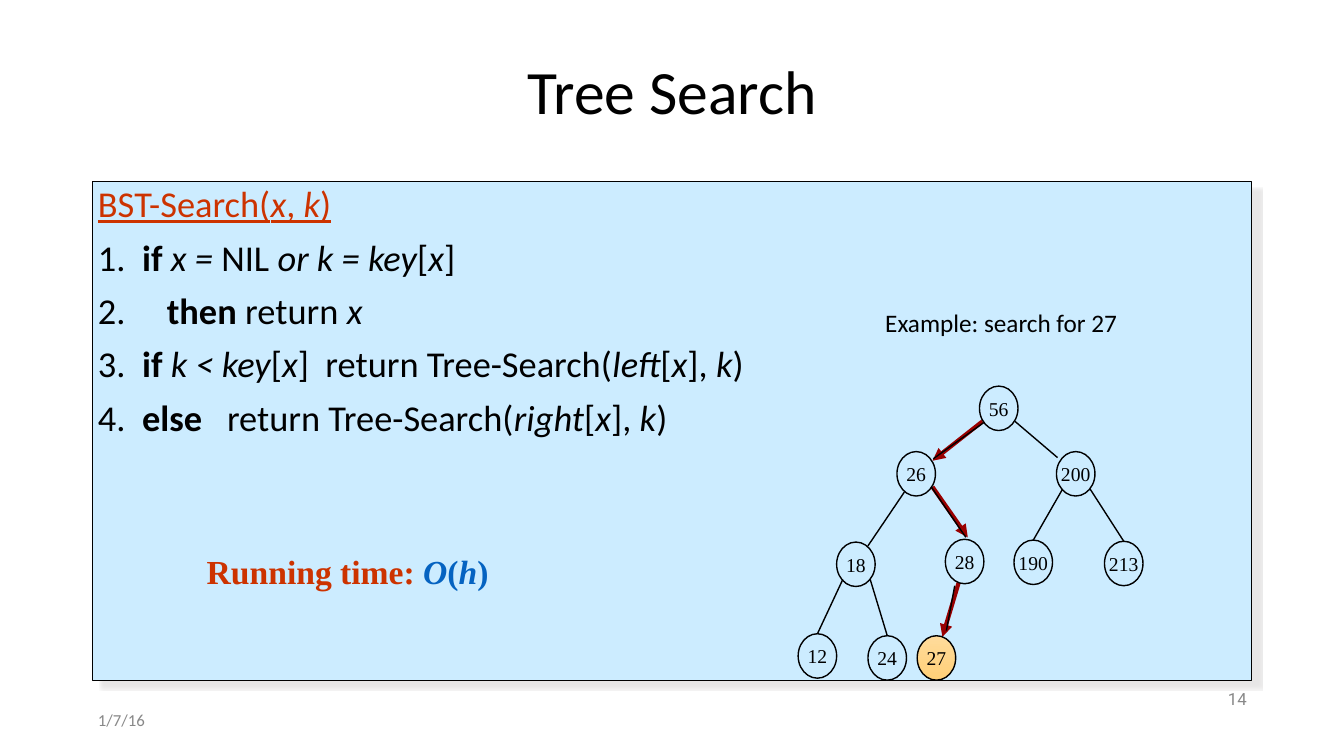
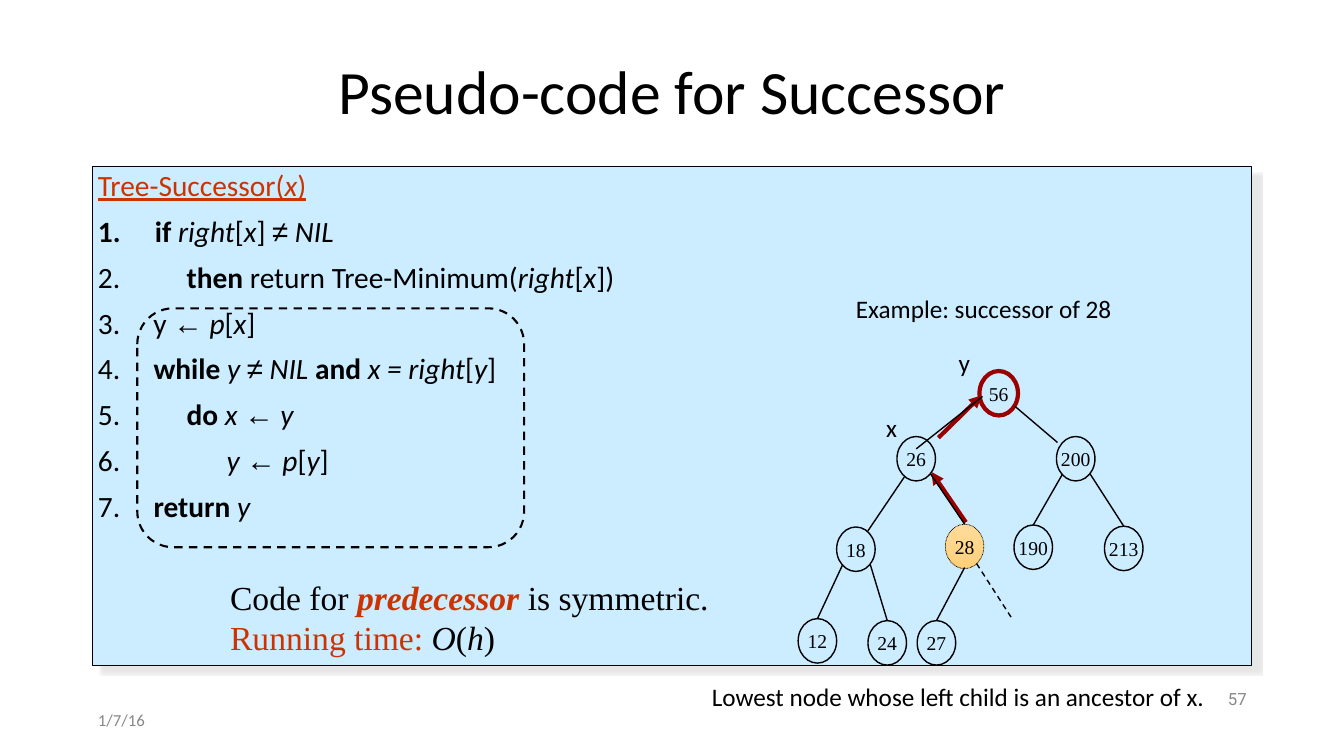
from itertools import groupby

from lxml import etree
from pptx import Presentation
from pptx.dml.color import RGBColor
from pptx.enum import dml, shapes, text
from pptx.oxml import ns
from pptx.util import Cm, Pt

BLACK = RGBColor(0x00, 0x00, 0x00)
GREY = RGBColor(0x88, 0x88, 0x88)
RUST = RGBColor(0xCC, 0x33, 0x00)
BLUE = RGBColor(0x05, 0x63, 0xC1)
PATH_RED = RGBColor(0x99, 0x00, 0x00)
PANEL_BLUE = RGBColor(0xCC, 0xEC, 0xFF)
GOLD_LIGHT = RGBColor(0xFF, 0xDB, 0x9B)
GOLD_DARK = RGBColor(0xFF, 0xD0, 0x78)
SHADOW = "E7E6E6"

SANS, SERIF = "Calibri", "Times New Roman"
SYMBOLS, SYMBOL_FONT = "≠←", "Arial"

LEFT, WIDTH = 2.34, 29.21
PANEL_HEIGHT = 12.57
NODE_WIDTH, NODE_HEIGHT = 0.97, 1.12

# Node centres in cm, measured from the top left corner of the panel
NODES = {
    "56": (22.83, 5.72),
    "26": (20.75, 7.37), "200": (24.77, 7.37),
    "18": (19.23, 9.65), "28": (21.97, 9.58),
    "190": (23.7, 9.6), "213": (25.98, 9.63),
    "12": (18.26, 11.96), "24": (20.02, 12.01), "27": (21.26, 12.01),
}
# Edges: two nodes, and the offset of each line end from its node centre
TOP = (0, -0.56)
COMMON_EDGES = [
    ("56", "200", (0.41, 0.33), (-0.46, -0.41)),
    ("26", "18", (-0.3, 0.46), (0.3, -0.46)),
    ("200", "190", (-0.33, 0.38), TOP),
    ("200", "213", (0.36, 0.38), TOP),
    ("18", "12", (-0.33, 0.38), TOP),
    ("18", "24", (0.36, 0.38), TOP),
]


def add_markup(paragraph, markup, formats):
    """Add runs; * switches bold, _ switches italic."""
    bold = italic = False
    for mark, chars in groupby(markup, lambda c: c if c in "*_" else c in SYMBOLS):
        if mark == "*":
            bold = not bold
        elif mark == "_":
            italic = not italic
        else:
            run = paragraph.add_run()
            run.text = "".join(chars)
            values = {**formats, "bold": bold, "italic": italic}
            if mark:
                values["name"] = SYMBOL_FONT
            color = values.pop("color", BLACK)
            for attribute, value in values.items():
                setattr(run.font, attribute, value)
            run.font.color.rgb = color


def fill_text(shape, lines, formats, frame=None, paragraphs=None):
    """Write lines, each a list of (markup, own formats) pieces."""
    text_frame = shape.text_frame
    inset = Cm(0.13)
    settings = {"word_wrap": True, "margin_left": inset, "margin_right": inset,
                "margin_top": inset, "margin_bottom": inset, **(frame or {})}
    for attribute, value in settings.items():
        setattr(text_frame, attribute, value)
    for index, line in enumerate(lines):
        paragraph = text_frame.add_paragraph() if index else text_frame.paragraphs[0]
        for attribute, value in (paragraphs or {}).items():
            if index or attribute != "space_before":
                setattr(paragraph, attribute, value)
        for markup, own in line:
            add_markup(paragraph, markup, {**formats, **own})


def add_label(slide, box, lines, size, font=SANS, color=BLACK, frame=None, **paragraphs):
    label = slide.shapes.add_textbox(*map(Cm, box))
    if isinstance(lines, str):
        lines = [[(lines, {})]]
    fill_text(label, lines, {"size": Pt(size), "name": font, "color": color},
              frame, paragraphs)


def add_note(slide, panel_top, box, lines, size=18, font=SANS):
    """Place unwrapped text relative to the panel corner."""
    x, y, width, height = box
    add_label(slide, (LEFT + x, panel_top + y, width, height), lines, size, font,
              frame={"word_wrap": False})


def add_outlined(slide, preset, box, color, width, dash=None):
    shape = slide.shapes.add_shape(preset, *map(Cm, box))
    shape.shadow.inherit = False
    shape.line.color.rgb = color
    shape.line.width = Pt(width)
    if dash:
        shape.line.dash_style = dash
    return shape


def add_frame(slide, title, number):
    """Add the title, date and page number."""
    middle = {"vertical_anchor": text.MSO_ANCHOR.MIDDLE}
    add_label(slide, (LEFT, 1.02, WIDTH, 2.72), title, 44, frame=middle,
              alignment=text.PP_ALIGN.CENTER, line_spacing=0.9)
    add_label(slide, (LEFT, 17.78, 7.62, 0.74), "1/7/16", 12, color=GREY, frame=middle)
    add_label(slide, (23.93, 17.27, 7.62, 0.74), number, 12, "Roboto", GREY, middle,
              alignment=text.PP_ALIGN.RIGHT, line_spacing=0.9)


def add_code_panel(slide, top, heading, code, size):
    panel = add_outlined(slide, shapes.MSO_SHAPE.RECTANGLE,
                         (LEFT, top, WIDTH, PANEL_HEIGHT), BLACK, 0.75)
    panel.fill.solid()
    panel.fill.fore_color.rgb = PANEL_BLUE
    effects = panel._element.spPr.find(ns.qn("a:effectLst"))
    shadow = etree.SubElement(effects, ns.qn("a:outerShdw"), blurRad=str(Pt(1)),
                              dist=str(Pt(8.5)), dir="2700000", algn="ctr",
                              rotWithShape="0")
    etree.SubElement(shadow, ns.qn("a:srgbClr"), val=SHADOW)
    lines = [[(heading, {"color": RUST, "underline": True})]]
    lines += [[(line, {})] for line in code]
    fill_text(panel, lines, {"size": Pt(size), "name": SANS},
              {"vertical_anchor": text.MSO_ANCHOR.TOP},
              {"alignment": text.PP_ALIGN.LEFT, "line_spacing": 0.9,
               "space_before": Pt(10)})
    return panel


def number_paragraph(paragraph, indent):
    properties = paragraph._p.get_or_add_pPr()
    properties.set("marL", str(Cm(indent)))
    properties.set("indent", str(-Cm(indent)))
    etree.SubElement(properties, ns.qn("a:buFont"), typeface=SANS)
    etree.SubElement(properties, ns.qn("a:buAutoNum"), type="arabicPeriod")


def add_line(slide, start, end, color=BLACK, width=1, arrow=False, dash=None):
    line = slide.shapes.add_connector(shapes.MSO_CONNECTOR.STRAIGHT,
                                      *map(Cm, (*start, *end)))
    line.line.color.rgb = color
    line.line.width = Pt(width)
    if dash:
        line.line.dash_style = dash
    if arrow:
        etree.SubElement(line.line._get_or_add_ln(), ns.qn("a:tailEnd"), type="triangle")
    etree.SubElement(line._element.spPr, ns.qn("a:effectLst"))


def add_edges(slide, panel_top, edges, **style):
    for first, second, *offsets in edges:
        start, end = ((LEFT + NODES[node][0] + dx, panel_top + NODES[node][1] + dy)
                      for node, (dx, dy) in zip((first, second), offsets))
        add_line(slide, start, end, **style)


def add_node(slide, panel_top, key, gold, color=BLACK, width=1, dash=None):
    x, y = NODES[key]
    box = (LEFT + x - NODE_WIDTH / 2, panel_top + y - NODE_HEIGHT / 2,
           NODE_WIDTH, NODE_HEIGHT)
    node = add_outlined(slide, shapes.MSO_SHAPE.OVAL, box, color, width, dash)
    if gold:
        node.fill.gradient()
        node.fill.gradient_angle = 270
        for stop, shade in zip(node.fill.gradient_stops, (GOLD_LIGHT, GOLD_DARK)):
            stop.color.rgb = shade
    else:
        node.fill.solid()
        node.fill.fore_color.rgb = PANEL_BLUE
    fill_text(node, [[(key, {})]], {"size": Pt(14), "name": SERIF},
              {"word_wrap": False, "margin_left": 0, "margin_right": 0,
               "vertical_anchor": text.MSO_ANCHOR.MIDDLE},
              {"alignment": text.PP_ALIGN.CENTER})


def add_tree(slide, panel_top, gold_key, red_path, own_edges, node_styles):
    add_edges(slide, panel_top, red_path, color=PATH_RED, width=3, arrow=True)
    for key in NODES:
        add_node(slide, panel_top, key, key == gold_key, **node_styles.get(key, {}))
    add_edges(slide, panel_top, COMMON_EDGES + own_edges)


def build_search(slide):
    top = 4.57
    add_frame(slide, "Tree Search", "14")
    add_code_panel(slide, top, "BST-Search(_x_, _k_)", [
        "1.  *if *_x = _NIL_ or k = key_[_x_]",
        "2.     *then* return _x_",
        "3.  *if *_k < key_[_x_]  return Tree-Search(_left_[_x_], _k_)",
        "4.  *else*   return Tree-Search(_right_[_x_], _k_)",
    ], 26)
    add_note(slide, top, (2.74, 9.19, 7.39, 1.17),
             [[("*Running time: *", {"color": RUST}), ("*_O_(_h_)*", {"color": BLUE})]],
             24, SERIF)
    add_note(slide, top, (19.84, 3.05, 6.12, 1.04), "Example: search for 27")
    add_tree(slide, top, "27", [
        ("56", "26", (-0.41, 0.33), (0.41, -0.33)),
        ("26", "28", (0.41, 0.33), (0.08, -0.61)),
        ("28", "27", (-0.15, 0.53), (0.15, -0.53)),
    ], [
        ("56", "26", (-0.38, 0.36), (0.43, -0.38)),
        ("26", "28", (0.38, 0.33), (0.03, -0.61)),
        ("28", "27", (-0.25, 0.61), (0.25, -0.69)),
    ], {})


def build_successor(slide):
    top = 4.19
    add_frame(slide, "Pseudo-code for Successor", "57")
    panel = add_code_panel(slide, top, "Tree-Successor(_x_)", [
        "* if *_right_[_x_] ≠_ NIL_",
        "2.          *then* return Tree-Minimum(_right_[_x_])",
        "3.     y ← _p_[_x_]",
        "4.     *while *_y _≠_ NIL _*and*_ x = right_[_y_]",
        "5.          *do *_x _← _y_",
        "6.                _y _← _p_[_y_]",
        "7.     *return *_y_",
    ], 21)
    number_paragraph(panel.text_frame.paragraphs[1], 1.27)
    add_note(slide, top, (3.33, 10.21, 12.57, 2.13), [
        [("Code for ", {}), ("*_predecessor _*", {"color": RUST}), ("is symmetric.", {})],
        [("Running time: ", {"color": RUST}), ("_O_(_h_)", {})],
    ], 24, SERIF)
    for box, note in [
        ((19.1, 3.07, 6.73, 1.04), "Example: successor of 28"),
        ((15.47, 12.85, 12.73, 1.04), "Lowest node whose left child is an ancestor of x."),
        ((19.86, 6.07, 0.56, 1.04), "x"),
        ((21.69, 4.42, 0.58, 1.04), "y"),
    ]:
        add_note(slide, top, box, note)
    add_tree(slide, top, "28", [
        ("28", "26", (0.03, -0.61), (0.38, 0.33)),
        ("26", "56", (0.56, -0.53), (-0.43, 0.05)),
    ], [
        ("26", "56", (0, -0.25), (-0.41, 0.08)),
        ("26", "28", (0.36, 0.38), TOP),
        ("28", "27", (0, 0.53), TOP),
    ], {
        "56": {"color": PATH_RED, "width": 3},
        "28": {"width": 0.5, "dash": dml.MSO_LINE.ROUND_DOT},
    })
    x, y = LEFT + NODES["28"][0], top + NODES["28"][1]
    add_line(slide, (x + 0.3, y + 0.43), (x + 1.17, y + 1.78), dash=dml.MSO_LINE.DASH)
    loop = add_outlined(slide, shapes.MSO_SHAPE.ROUNDED_RECTANGLE,
                        (LEFT + 1.12, top + 3.58, 9.75, 6.02), BLACK, 1.5,
                        dml.MSO_LINE.DASH)
    loop.adjustments[0] = 0.15
    loop.fill.background()


def main():
    deck = Presentation()
    deck.slide_width, deck.slide_height = Cm(33.87), Cm(19.05)
    for build in (build_search, build_successor):
        build(deck.slides.add_slide(deck.slide_layouts[6]))
    deck.save("out.pptx")


if __name__ == "__main__":
    main()
